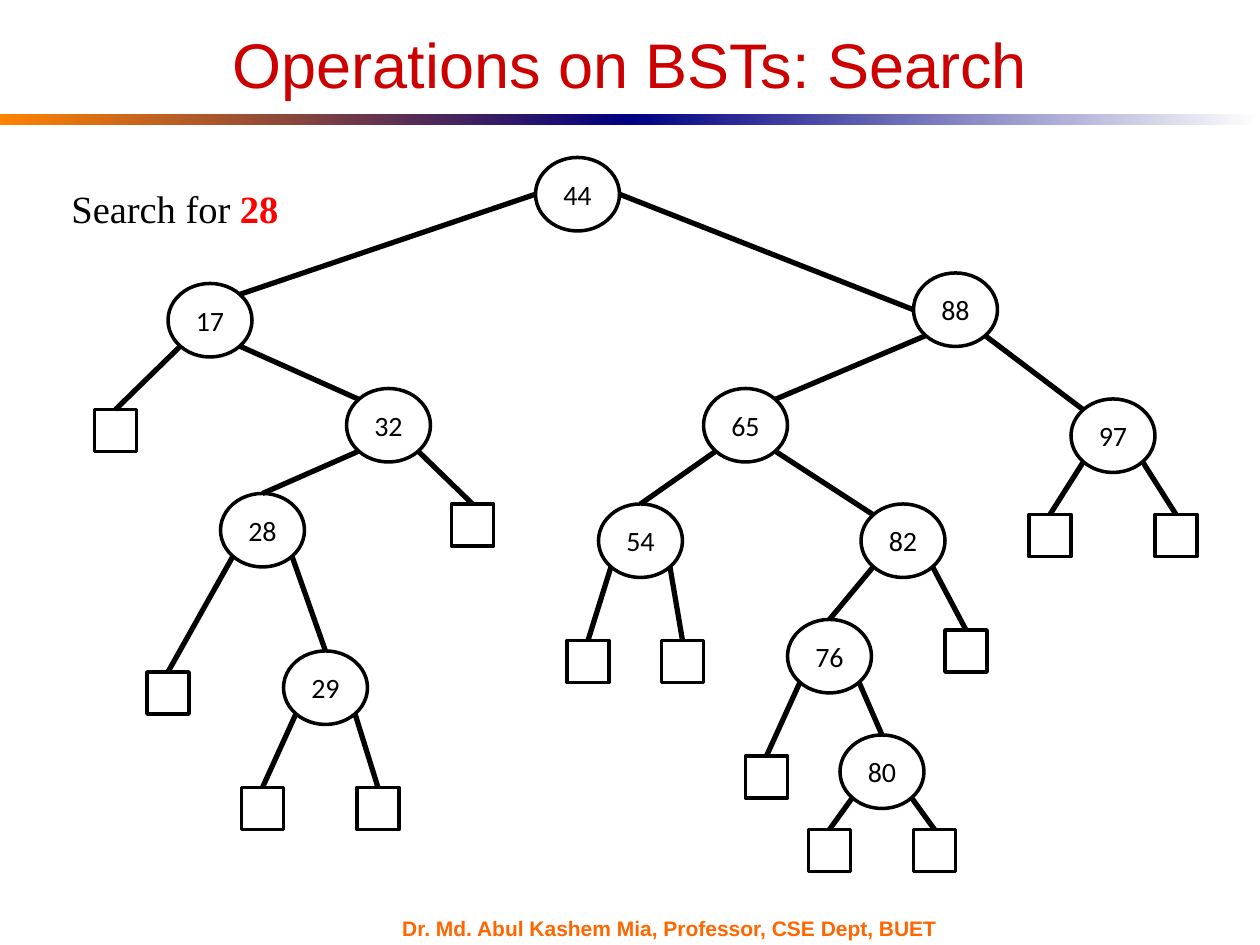
"""Build a slide showing a binary search tree and a search for one key."""
from pptx import Presentation
from pptx.dml.color import RGBColor
from pptx.enum.shapes import MSO_CONNECTOR, MSO_SHAPE
from pptx.enum.text import MSO_ANCHOR, PP_ALIGN
from pptx.oxml.ns import qn
from pptx.util import Pt
from lxml import etree

PX = 9525
STRAIGHT = MSO_CONNECTOR.STRAIGHT
OVAL, RECTANGLE = MSO_SHAPE.OVAL, MSO_SHAPE.RECTANGLE
MIDDLE, TOP = MSO_ANCHOR.MIDDLE, MSO_ANCHOR.TOP
CENTER, LEFT = PP_ALIGN.CENTER, PP_ALIGN.LEFT

BLACK = RGBColor(0x00, 0x00, 0x00)
WHITE = RGBColor(0xFF, 0xFF, 0xFF)
NAVY = RGBColor(0x00, 0x00, 0x82)
ORANGE = RGBColor(0xFF, 0x82, 0x00)
FOOTER_ORANGE = RGBColor(0xFF, 0x66, 0x00)
RED = RGBColor(0xFF, 0x00, 0x00)
TITLE_RED = RGBColor(0xCC, 0x00, 0x00)

TITLE = "Operations on BSTs: Search"
FOOTER = "Dr. Md. Abul Kashem Mia, Professor, CSE Dept, BUET"
PROMPT, TARGET = "Search for ", "28"

SLIDE_WIDTH, SLIDE_HEIGHT = 960, 720
NODE_SIZE = (64, 56)
LEAF_SIZE = (32, 32)
NODES = {
    44: (408, 120), 17: (128, 216), 32: (264, 296), 28: (168, 376),
    29: (216, 496), 88: (696, 208), 65: (536, 296), 97: (816, 304),
    54: (456, 384), 82: (656, 384), 76: (600, 472), 80: (640, 560),
}
EDGES = [
    (44, "left", 17, "top right"), (17, "bottom right", 32, "top left"),
    (32, "bottom left", 28, "top"), (28, "bottom right", 29, "top"),
    (44, "right", 88, "left"), (88, "bottom left", 65, "top right"),
    (88, "bottom right", 97, "top left"), (65, "bottom left", 54, "top"),
    (65, "bottom right", 82, "top left"), (82, "bottom left", 76, "top"),
    (76, "bottom right", 80, "top"),
]
LEAVES = [
    (17, "bottom left", (72, 312)), (32, "bottom right", (344, 384)),
    (28, "bottom left", (112, 512)), (29, "bottom left", (184, 600)),
    (29, "bottom right", (272, 600)), (54, "bottom left", (432, 488)),
    (54, "bottom right", (504, 488)), (97, "bottom left", (784, 392)),
    (97, "bottom right", (880, 392)), (76, "bottom left", (568, 576)),
    (82, "bottom right", (720, 480)), (80, "bottom left", (616, 632)),
    (80, "bottom right", (696, 632)),
]
NEAR, FAR = 0.15, 0.85
SITES = {
    "top": (0.5, 0), "left": (0, 0.5), "right": (1, 0.5),
    "top left": (NEAR, NEAR), "top right": (FAR, NEAR),
    "bottom left": (NEAR, FAR), "bottom right": (FAR, FAR),
}


def emu(*lengths):
    return [round(length * PX) for length in lengths]


def site_point(corner, size, site):
    return [start + length * share for start, length, share in zip(corner, size, SITES[site])]


def add_edge(page, start, end):
    edge = page.shapes.add_connector(STRAIGHT, *emu(*start, *end))
    edge.line.color.rgb = BLACK
    edge.line.width = Pt(3)
    etree.SubElement(edge._element.spPr, qn("a:effectLst"))


def add_outlined(page, kind, corner, size):
    shape = page.shapes.add_shape(kind, *emu(*corner, *size))
    shape.shadow.inherit = False
    shape.fill.solid()
    shape.fill.fore_color.rgb = WHITE
    shape.line.color.rgb = BLACK
    shape.line.width = Pt(2)
    return shape


def add_band(page, left, first, last):
    band = page.shapes.add_shape(RECTANGLE, *emu(left, 87, SLIDE_WIDTH / 2, 8))
    band.shadow.inherit = False
    band.line.fill.background()
    band.fill.gradient()
    band.fill.gradient_angle = 0
    for stop, color in zip(band.fill.gradient_stops, (first, last)):
        stop.color.rgb = color


def write(shape, text, font, size, color, align=LEFT, anchor=MIDDLE, wrap=True):
    frame = shape.text_frame
    frame.word_wrap = wrap
    frame.vertical_anchor = anchor
    para = frame.paragraphs[0]
    para.alignment = align
    para.add_run().text = text
    para.font.name = font
    para.font.size = Pt(size)
    para.font.color.rgb = color
    return para


def main():
    deck = Presentation()
    deck.slide_width, deck.slide_height = emu(SLIDE_WIDTH, SLIDE_HEIGHT)
    page = deck.slides.add_slide(deck.slide_layouts[5])

    title = page.shapes.title
    title.left, title.top, title.width, title.height = emu(48, 24, 864, 49)
    write(title, TITLE, "Arial", 36, TITLE_RED, CENTER)

    add_band(page, 0, ORANGE, NAVY)
    add_band(page, SLIDE_WIDTH / 2, NAVY, WHITE)

    footer = page.shapes.add_textbox(*emu(297, 699, 448, 17))
    write(footer, FOOTER, "Arial", 12, FOOTER_ORANGE, wrap=False).font.bold = True

    for key, corner in NODES.items():
        node = add_outlined(page, OVAL, corner, NODE_SIZE)
        write(node, str(key), "Calibri", 16, BLACK, CENTER)

    for parent, leaving, child, arriving in EDGES:
        add_edge(page, site_point(NODES[parent], NODE_SIZE, leaving),
                 site_point(NODES[child], NODE_SIZE, arriving))

    for parent, leaving, corner in LEAVES:
        add_outlined(page, RECTANGLE, corner, LEAF_SIZE)
        add_edge(page, site_point(NODES[parent], NODE_SIZE, leaving),
                 site_point(corner, LEAF_SIZE, "top"))

    prompt = page.shapes.add_textbox(*emu(45, 136, 201, 45))
    para = write(prompt, PROMPT, "Times New Roman", 22, BLACK, anchor=TOP, wrap=False)
    span = para.add_run()
    span.text = TARGET
    span.font.bold = True
    span.font.color.rgb = RED

    deck.save("out.pptx")


if __name__ == "__main__":
    main()
